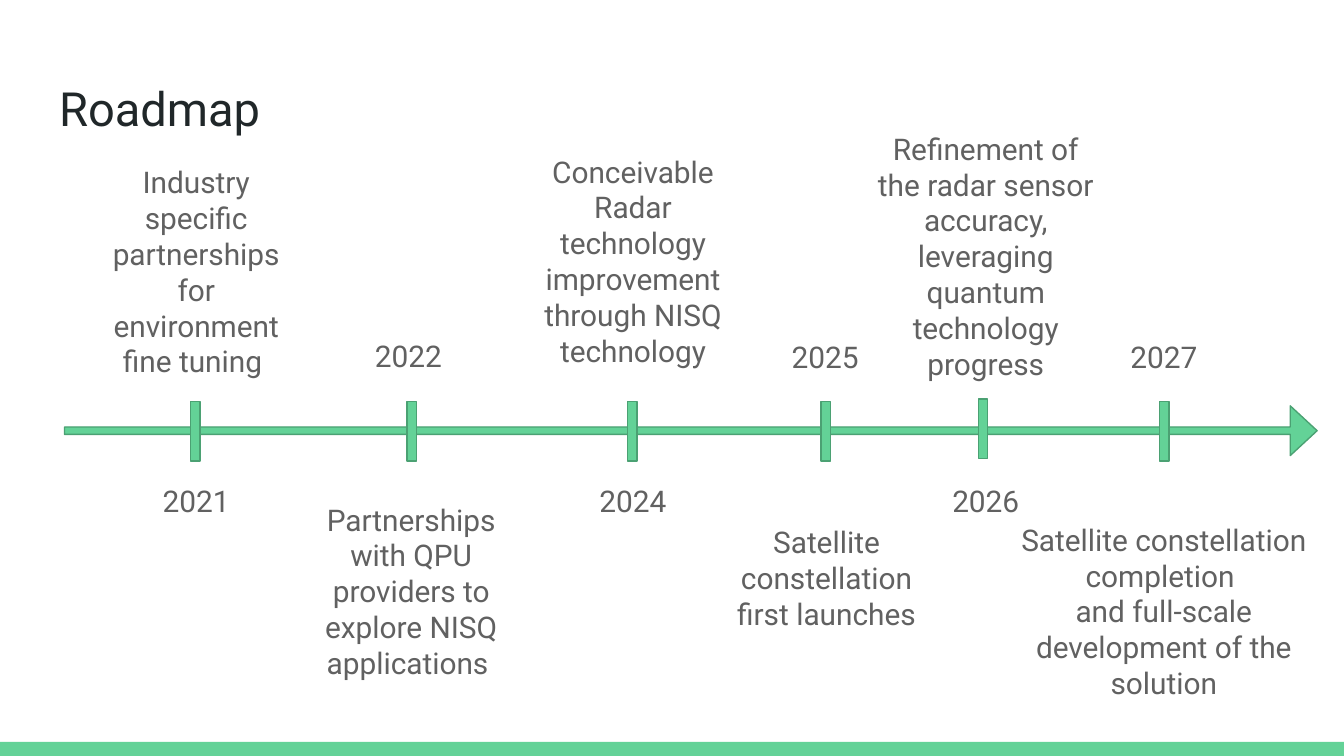
from dataclasses import dataclass

from pptx import Presentation
from pptx.dml.color import RGBColor
from pptx.enum.shapes import MSO_SHAPE
from pptx.enum.text import MSO_ANCHOR, PP_ALIGN
from pptx.util import Emu, Pt

PX = 9144
FONT = "Roboto"
GREEN = RGBColor(0x63, 0xD2, 0x97)
DARK_GREEN = RGBColor(0x4B, 0xA1, 0x73)
INK = RGBColor(0x20, 0x27, 0x29)
GRAY = RGBColor(0x61, 0x61, 0x61)


@dataclass
class Box:
    x: int
    y: int
    w: int
    h: int

    def emu(self) -> list[Emu]:
        return [Emu(v * PX) for v in (self.x, self.y, self.w, self.h)]


@dataclass
class Milestone:
    year: str
    year_box: Box
    text: str
    text_box: Box
    tick_x: int
    tick_y: int = 299


MILESTONES = [
    Milestone("2021", Box(88, 349, 116, 47),
              "Industry specific partnerships for environment fine tuning ",
              Box(67, 112, 158, 182), 142),
    Milestone("2022", Box(246, 241, 116, 47),
              "Partnerships with QPU providers to explore NISQ applications ",
              Box(219, 363, 174, 155), 303),
    Milestone("2024", Box(413, 349, 116, 47),
              "Conceivable Radar technology improvement through NISQ technology",
              Box(392, 104, 158, 182), 467),
    Milestone("2025", Box(556, 242, 116, 47),
              "Satellite constellation first launches",
              Box(528, 380, 174, 101), 611),
    Milestone("2026", Box(667, 349, 133, 47),
              "Refinement of the radar sensor accuracy, leveraging quantum technology progress",
              Box(637, 87, 193, 209), 728, 297),
    Milestone("2027", Box(808, 242, 116, 47),
              "Satellite constellation completion \nand full-scale development of the solution",
              Box(748, 378, 236, 155), 863),
]


def set_text(sp, text: str, *, size: float, color: RGBColor, align: PP_ALIGN) -> None:
    tf = sp.text_frame
    tf.word_wrap = True
    tf.vertical_anchor = MSO_ANCHOR.TOP
    tf.margin_left = tf.margin_right = tf.margin_top = tf.margin_bottom = Emu(10 * PX)
    tf.text = text
    for p in tf.paragraphs:
        p.alignment = align
        for r in p.runs:
            r.font.name = FONT
            r.font.size = Pt(size)
            r.font.color.rgb = color


def add_label(s, box: Box, text: str) -> None:
    sp = s.shapes.add_textbox(*box.emu())
    set_text(sp, text, size=16, color=GRAY, align=PP_ALIGN.CENTER)


def add_green(s, kind: MSO_SHAPE, box: Box, outlined: bool = True):
    sp = s.shapes.add_shape(kind, *box.emu())
    sp.shadow.inherit = False
    sp.fill.solid()
    sp.fill.fore_color.rgb = GREEN
    if outlined:
        sp.line.color.rgb = DARK_GREEN
        sp.line.width = Pt(0.75)
    else:
        sp.line.fill.background()
    return sp


def main() -> None:
    prs = Presentation()
    prs.slide_width, prs.slide_height = Emu(1000 * PX), Pt(405)
    s = prs.slides.add_slide(prs.slide_layouts[5])

    add_green(s, MSO_SHAPE.RECTANGLE, Box(0, 552, 1000, 11), outlined=False)

    title = s.shapes.title
    title.left, title.top, title.width, title.height = Box(34, 49, 932, 63).emu()
    set_text(title, "Roadmap", size=25.2, color=INK, align=PP_ALIGN.LEFT)

    arrow = add_green(s, MSO_SHAPE.RIGHT_ARROW, Box(48, 302, 932, 37))
    arrow.adjustments[0] = 0.15
    arrow.adjustments[1] = 0.54

    for m in MILESTONES:
        add_green(s, MSO_SHAPE.RECTANGLE, Box(m.tick_x, m.tick_y, 7, 44))
        add_label(s, m.year_box, m.year)
        add_label(s, m.text_box, m.text)

    prs.save("out.pptx")


if __name__ == "__main__":
    main()
